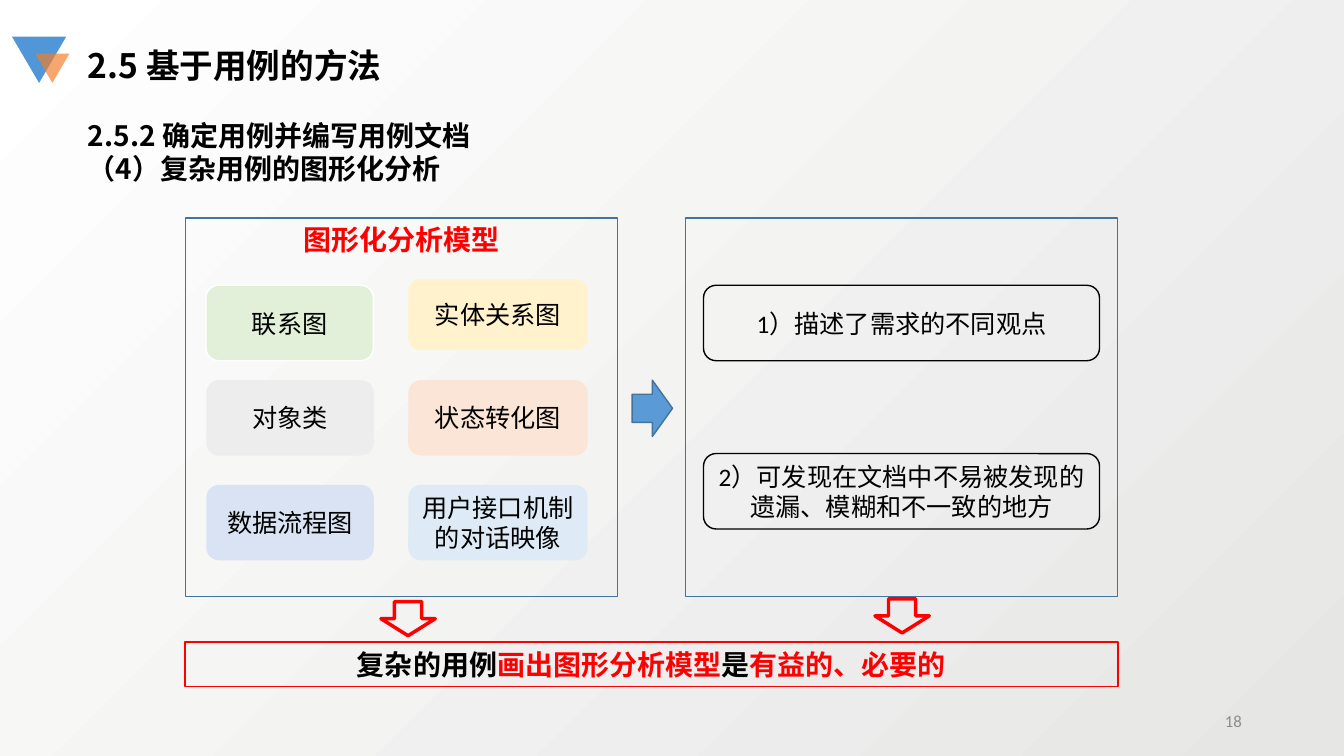
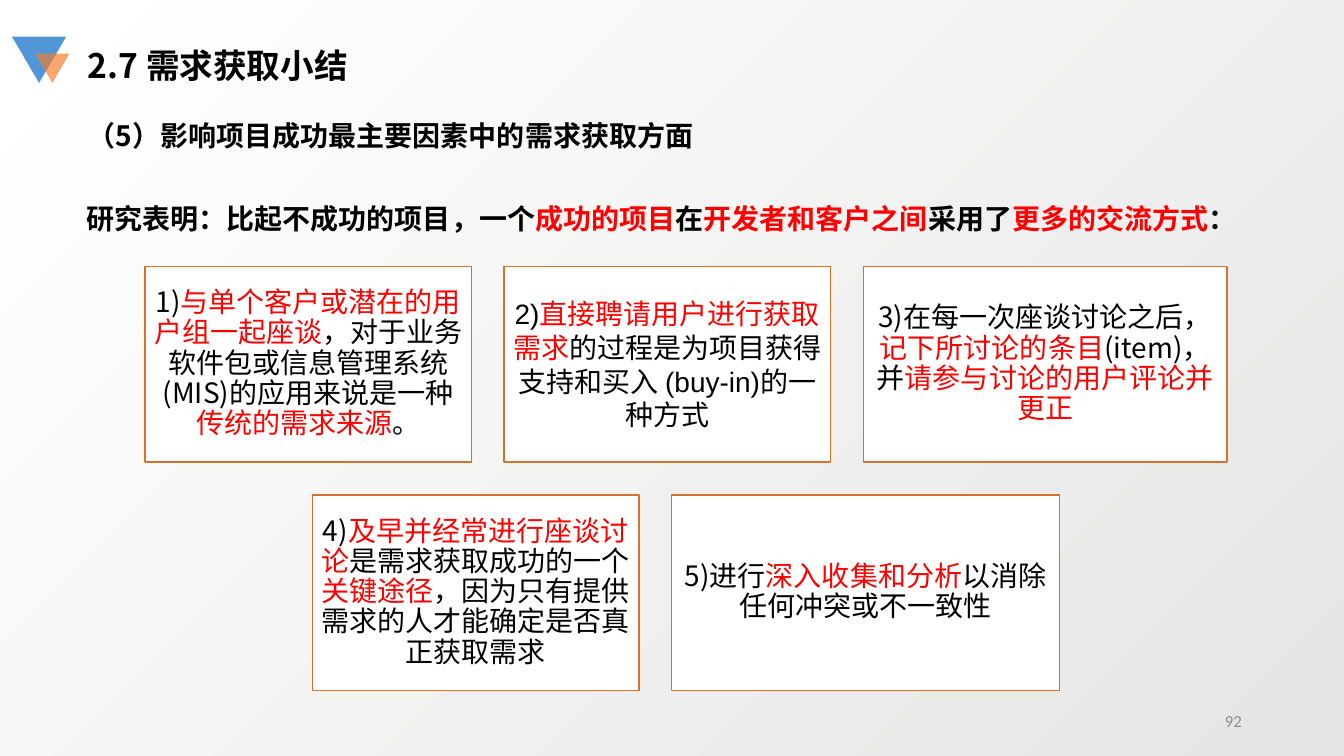
"""Build two slides on use-case analysis and requirements elicitation."""
from lxml.etree import SubElement
from pptx import Presentation
from pptx.dml.color import RGBColor
from pptx.enum.shapes import MSO_SHAPE as Shape
from pptx.enum.text import MSO_ANCHOR as Anchor, MSO_AUTO_SIZE as AutoSize, PP_ALIGN as Align
from pptx.oxml.ns import qn
from pptx.util import Cm, Pt

COLORS = {
    "text": "000000", "accent": "FF0000", "number": "8C8C8C", "white": "FFFFFF",
    "shade": "E6E6E5", "blue": "5B9BD5", "border": "43739E", "card": "D7712C",
    "mark_blue": "5197D7", "mark_orange": "F37D2A",
    "green": "E2F0D9", "yellow": "FFF2CC", "gray": "EDEDED",
    "peach": "FBE5D6", "lavender": "DAE3F3", "sky": "DEEBF7",
}
CJK = "Noto Sans CJK SC"


def rgb(name):
    return RGBColor.from_string(COLORS[name])


def write(frame, text, *, size=18, font=CJK, color="text", bold=False,
          align=Align.LEFT, anchor=Anchor.TOP, spacing=None, inset=None):
    """Fill a frame line by line; parts between bars take the accent colour."""
    frame.word_wrap = True
    frame.auto_size = AutoSize.NONE
    frame.vertical_anchor = anchor
    if inset is not None:
        frame.margin_left = frame.margin_right = Cm(inset)
        frame.margin_top = frame.margin_bottom = Cm(inset)
    for index, line in enumerate(text.split("\n")):
        paragraph = frame.add_paragraph() if index else frame.paragraphs[0]
        properties = paragraph._p.get_or_add_pPr()
        properties.set("marL", "0")
        properties.set("indent", "0")
        SubElement(properties, qn("a:buNone"))
        paragraph.alignment = align
        paragraph.space_before = Pt(0)
        if spacing:
            paragraph.line_spacing = spacing
        for part, words in enumerate(line.split("|")):
            if not words:
                continue
            run = paragraph.add_run()
            run.text = words
            run.font.size = Pt(size)
            run.font.bold = bold
            run.font.name = font
            run.font.color.rgb = rgb("accent" if part % 2 else color)
            SubElement(run._r.get_or_add_rPr(), qn("a:ea"), typeface=CJK)


class Deck:
    """Hold the shared style and the current slide."""

    def __init__(self):
        self.show = Presentation()
        self.show.slide_width, self.show.slide_height = Cm(33.87), Cm(19.05)
        self.slide = None

    def page(self, title, subtitle, number):
        self.slide = self.show.slides.add_slide(self.show.slide_layouts[1])
        backdrop = self.slide.background.fill
        backdrop.gradient()
        backdrop.gradient_angle = 135
        for stop, name in zip(backdrop.gradient_stops, ("shade", "white")):
            stop.color.rgb = rgb(name)
        self.shape(Shape.ISOSCELES_TRIANGLE, 0.3, 0.92, 1.37, 1.17, fill="mark_blue").rotation = 180
        self.shape(Shape.ISOSCELES_TRIANGLE, 0.89, 1.35, 0.86, 0.74,
                   fill="mark_orange", alpha=68).rotation = 180
        heading, body = self.slide.placeholders
        self.place(heading, 1.96, 1, 20, 1.27)
        write(heading.text_frame, title, size=24, bold=True)
        self.place(body, 1.96, 2.85, 21.56, 1.96 if "\n" in subtitle else 1.12)
        write(body.text_frame, subtitle, size=20, bold=True)
        self.text(number, 23.93, 17.65, 7.62, 1.02, size=12, font="Calibri",
                  color="number", align=Align.RIGHT, anchor=Anchor.MIDDLE)

    def place(self, item, left, top, width, height):
        item.left, item.top, item.width, item.height = map(Cm, (left, top, width, height))

    def text(self, words, left, top, width, height, **style):
        box = self.slide.shapes.add_textbox(*map(Cm, (left, top, width, height)))
        write(box.text_frame, words, **style)

    def shape(self, kind, left, top, width, height, fill=None, line=None,
              weight=1, alpha=None, words=None, **style):
        item = self.slide.shapes.add_shape(kind, *map(Cm, (left, top, width, height)))
        item.shadow.inherit = False
        if fill:
            item.fill.solid()
            item.fill.fore_color.rgb = rgb(fill)
        else:
            item.fill.background()
        if alpha:
            tint = item._element.spPr.find(qn("a:solidFill"))[0]
            SubElement(tint, qn("a:alpha"), val=str(alpha * 1000))
        if line:
            item.line.color.rgb = rgb(line)
            item.line.width = Pt(weight)
        else:
            item.line.fill.background()
        if words:
            write(item.text_frame, words, **{"align": Align.CENTER, **style})
        return item

    def label(self, words, left, top, width, height=1.9, **look):
        self.shape(Shape.ROUNDED_RECTANGLE, left, top, width, height, words=words,
                   font="Calibri", anchor=Anchor.MIDDLE, **look)

    def card_row(self, top, cards, center=17.29, gap=0.82, height=4.93):
        left = center - (sum(card[0] for card in cards) + gap * (len(cards) - 1)) / 2
        for width, words, font, spacing in cards:
            self.shape(Shape.RECTANGLE, left, top, width, height, fill="white", line="card",
                       words=words, size=20, font=font, spacing=spacing,
                       anchor=Anchor.MIDDLE, inset=0.2)
            left += width + gap


def graphical_analysis(deck):
    deck.page("2.5 基于用例的方法", "2.5.2 确定用例并编写用例文档\n（4）复杂用例的图形化分析", "18")
    panel = {"top": 5.49, "width": 10.9, "height": 9.55, "line": "border"}
    deck.shape(Shape.RECTANGLE, 4.67, words="|图形化分析模型|", size=20,
               font="Calibri", bold=True, **panel)
    deck.shape(Shape.RECTANGLE, 17.27, **panel)

    deck.label("联系图", 5.19, 7.19, 4.22, fill="green", line="white")
    deck.label("实体关系图", 10.29, 7.04, 4.52, 1.78, fill="yellow")
    models = [
        (9.58, ("对象类", "gray"), ("状态转化图", "peach")),
        (12.22, ("数据流程图", "lavender"), ("用户接口机制的对话映像", "sky")),
    ]
    for top, *pair in models:
        for (words, fill), left, width in zip(pair, (5.2, 10.29), (4.22, 4.52)):
            deck.label(words, left, top, width, fill=fill)

    benefits = [(7.19, "1）描述了需求的不同观点"),
                (11.43, "2）可发现在文档中不易被发现的遗漏、模糊和不一致的地方")]
    for top, words in benefits:
        deck.label(words, 17.73, top, 9.98, line="text")

    deck.shape(Shape.RIGHT_ARROW, 15.93, 9.58, 1.02, 1.42, fill="blue", line="border")
    for left, top in ((9.6, 15.16), (22.05, 15.09)):
        deck.shape(Shape.DOWN_ARROW, left, top, 1.37, 0.86, line="accent", weight=2.5)
    deck.shape(Shape.RECTANGLE, 4.67, 16.18, 23.5, 1.12, line="accent", weight=1.25,
               words="复杂的用例|画出图形分析模型|是|有益的、必要的|",
               size=20, font="Calibri", bold=True)


def elicitation_summary(deck):
    deck.page("2.7 需求获取小结", "（5）影响项目成功最主要因素中的需求获取方面", "92")
    deck.text("研究表明：比起不成功的项目，一个|成功的项目|在|开发者和客户之间|采用了|更多的交流方式|：",
              1.93, 4.52, 30, 1.96, size=20, font="Arial", bold=True, anchor=Anchor.MIDDLE)
    deck.card_row(6.71, [
        (8.23, "1)|与单个客户或潜在的用户组一起座谈|，对于业务软件包或信息管理系统(MIS)的应用来说是一种"
               "|传统的需求来源|。", CJK, 0.9),
        (8.23, "2)|直接聘请用户进行获取需求|的过程是为项目获得支持和买入 (buy-in)的一种方式", "Arial", None),
        (9.17, "3)在每一次座谈讨论之后，|记下所讨论的条目|(item)，并|请参与讨论的用户评论并更正|", CJK, 0.9),
    ])
    deck.card_row(12.47, [
        (8.23, "4)|及早并经常进行座谈讨论|是需求获取成功的一个|关键途径|"
               "，因为只有提供需求的人才能确定是否真正获取需求", CJK, 0.9),
        (9.78, "5)进行|深入收集和分析|以消除任何冲突或不一致性", CJK, 0.9),
    ])


def main():
    deck = Deck()
    graphical_analysis(deck)
    elicitation_summary(deck)
    deck.show.save("out.pptx")


if __name__ == "__main__":
    main()
